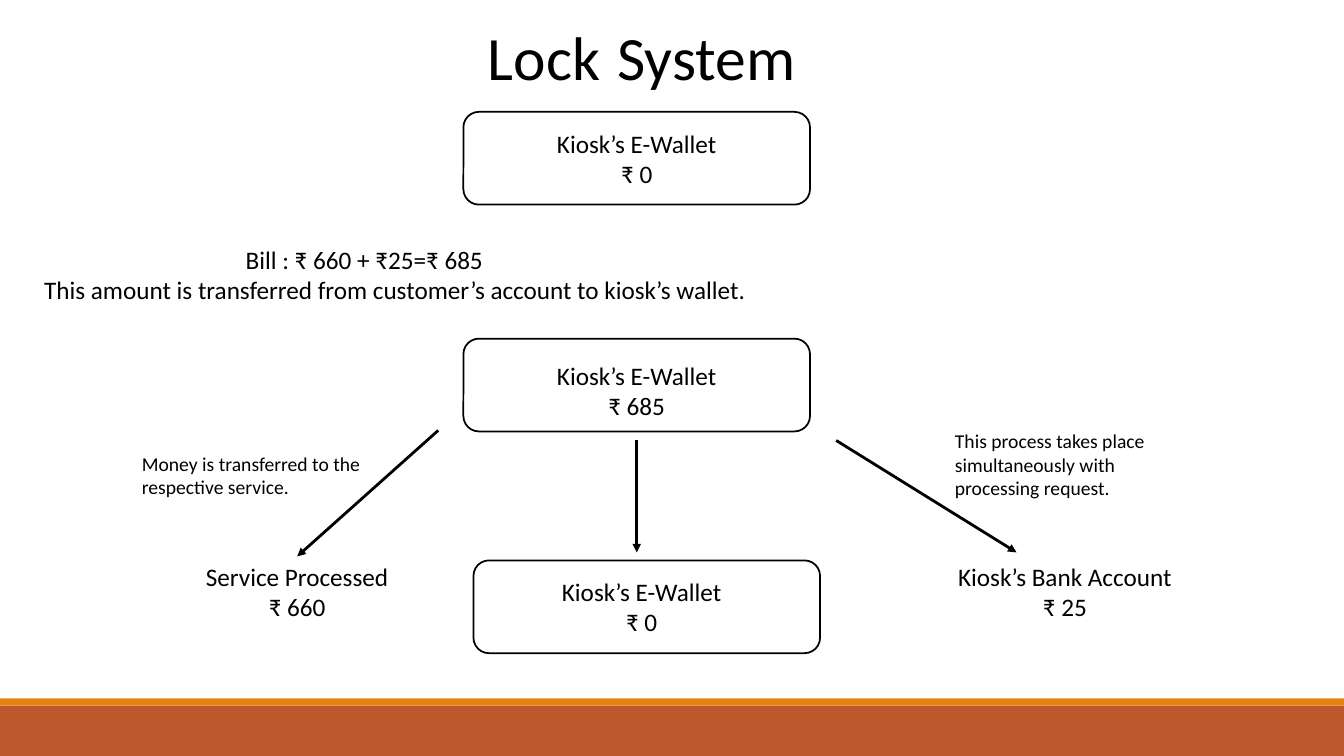
from dataclasses import dataclass

from lxml.etree import SubElement
from pptx import Presentation
from pptx.dml.color import RGBColor
from pptx.enum.shapes import MSO_CONNECTOR, MSO_SHAPE
from pptx.enum.text import MSO_ANCHOR, MSO_AUTO_SIZE, PP_ALIGN
from pptx.oxml.ns import qn
from pptx.util import Emu, Pt

PX = 9144  # EMU in one px, 100 px to the inch


@dataclass(frozen=True)
class Theme:
    font: str = "Calibri"
    ink: RGBColor = RGBColor(0x00, 0x00, 0x00)
    paper: RGBColor = RGBColor(0xFF, 0xFF, 0xFF)
    band: RGBColor = RGBColor(0xBD, 0x58, 0x2C)
    stripe: RGBColor = RGBColor(0xE4, 0x83, 0x12)
    title_size: int = 44
    title_gap_size: int = 54
    body_size: int = 18
    note_size: int = 14
    box_line: float = 1.25
    arrow_line: float = 2


THEME = Theme()


def px(*lengths):
    return [Emu(length * PX) for length in lengths]


def format_run(run, size):
    run.font.name = THEME.font
    run.font.size = Pt(size)
    run.font.color.rgb = THEME.ink


def write_lines(text_frame, lines, size, align):
    text_frame.word_wrap = True
    text_frame.text = "\n".join(lines)
    for paragraph in text_frame.paragraphs:
        paragraph.alignment = align
        for run in paragraph.runs:
            format_run(run, size)


def add_label(slide, box, lines, size=THEME.body_size, align=PP_ALIGN.CENTER):
    label = slide.shapes.add_textbox(*px(*box))
    write_lines(label.text_frame, lines, size, align)
    return label


def add_box(slide, kind, box, fill):
    shape = slide.shapes.add_shape(kind, *px(*box))
    shape.shadow.inherit = False
    shape.fill.solid()
    shape.fill.fore_color.rgb = fill
    shape.line.fill.background()
    return shape


def add_wallet(slide, box, amount, push_down=0, push_left=0):
    wallet = add_box(slide, MSO_SHAPE.ROUNDED_RECTANGLE, box, THEME.paper)
    wallet.line.color.rgb = THEME.ink
    wallet.line.width = Pt(THEME.box_line)
    text_frame = wallet.text_frame
    text_frame.vertical_anchor = MSO_ANCHOR.MIDDLE
    text_frame.margin_top, text_frame.margin_right = px(5 + push_down, 10 + push_left)
    write_lines(text_frame, ["Kiosk’s E-Wallet", amount], THEME.body_size, PP_ALIGN.CENTER)


def add_arrow(slide, start, end):
    arrow = slide.shapes.add_connector(MSO_CONNECTOR.STRAIGHT, *px(*start, *end))
    arrow.line.color.rgb = THEME.ink
    arrow.line.width = Pt(THEME.arrow_line)
    SubElement(arrow.line._get_or_add_ln(), qn("a:tailEnd"), type="triangle")
    SubElement(arrow._element.spPr, qn("a:effectLst"))


def add_footer(slide, box):
    left, top, width, height = box
    stripe_height = 7
    add_box(slide, MSO_SHAPE.RECTANGLE,
            (left, top + stripe_height, width, height - stripe_height), THEME.band)
    add_box(slide, MSO_SHAPE.RECTANGLE, (left, top, width, stripe_height), THEME.stripe)


def add_title(slide, box):
    title = slide.shapes.title
    title.left, title.top, title.width, title.height = px(*box)
    text_frame = title.text_frame
    text_frame.word_wrap = False
    text_frame.auto_size = MSO_AUTO_SIZE.NONE
    text_frame.vertical_anchor = MSO_ANCHOR.TOP
    paragraph = text_frame.paragraphs[0]
    paragraph.alignment = PP_ALIGN.CENTER
    for text, size in (("Lock", THEME.title_size), (" ", THEME.title_gap_size),
                       ("System", THEME.title_size)):
        run = paragraph.add_run()
        run.text = text
        format_run(run, size)


def add_payment(slide, box):
    """The empty wallet, the bill and the filled wallet."""
    left, top, width, height = box
    wallet_left, wallet_width, wallet_height = left + 426, 344, 92
    add_wallet(slide, (wallet_left, top, wallet_width, wallet_height), "₹ 0")
    bill = add_label(
        slide, (left, top + 126, width, 70),
        ["Bill : ₹ 660 + ₹25=₹ 685",
         "This amount is transferred from customer’s account to kiosk’s wallet."],
        align=PP_ALIGN.LEFT)
    indent, = px(200)
    bill.text_frame.paragraphs[0]._p.get_or_add_pPr().set("marL", str(indent))
    add_wallet(slide, (wallet_left, top + height - wallet_height, wallet_width, wallet_height),
               "₹ 685", push_down=10)


def add_split(slide, box):
    """The arrows from the filled wallet to its three results."""
    left, top, width, height = box
    arrow_top, arrow_end = top + 16, top + 127

    # Arrows
    add_arrow(slide, (left + 304, top + 6), (left + 164, top + 131))
    add_arrow(slide, (left + 699, arrow_top), (left + 878, arrow_end))
    add_arrow(slide, (left + 501, arrow_top), (left + 501, arrow_end))

    # Results
    result_top, result_width = top + 131, 300
    add_label(slide, (left + 14, result_top, result_width, 70),
              ["Service Processed", "₹ 660"])
    add_label(slide, (left + 776, result_top, result_width, 70),
              ["Kiosk’s Bank Account", "₹ 25"])
    add_wallet(slide, (left + 339, top + height - 92, 344, 92), "₹ 0", push_left=10)

    # Notes
    add_label(slide, (left + width - 348, top, 348, 80),
              ["This process takes place", "simultaneously with", "processing request."],
              THEME.note_size, PP_ALIGN.LEFT)
    add_label(slide, (left, top + 22, 348, 57),
              ["Money is transferred to the", "respective service."],
              THEME.note_size, PP_ALIGN.LEFT)


def main():
    presentation = Presentation()
    presentation.slide_width, presentation.slide_height = px(1334, 750)
    slide = presentation.slides.add_slide(presentation.slide_layouts[5])
    add_footer(slide, (0, 693, 1334, 57))
    add_title(slide, (473, 0, 328, 100))
    add_payment(slide, (34, 111, 801, 317))
    add_split(slide, (131, 421, 1155, 227))
    presentation.save("out.pptx")


if __name__ == "__main__":
    main()
